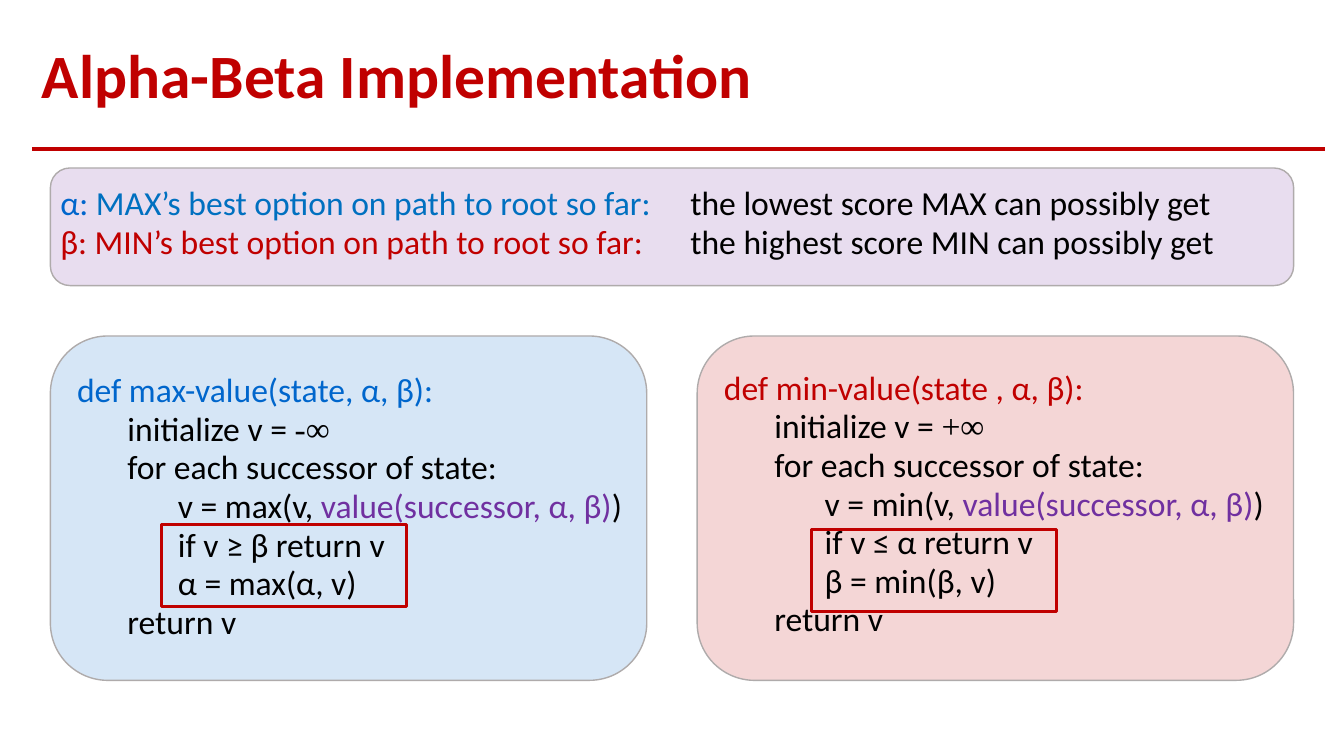
"""Build the Alpha-Beta Implementation slide on an 80 by 45 grid."""
import pptx
import pptx.util
import pptx.dml.color
import pptx.enum.shapes
import pptx.enum.text
import pptx.oxml.ns
from lxml import etree

COLORS = {"red": "C00000", "blue": "0066CC", "sky": "0070C0",
          "purple": "7030A0", "black": "000000", "gray": "AFABAB"}
SHAPE = pptx.enum.shapes.MSO_SHAPE
qn = pptx.oxml.ns.qn


class Deck:
    """Hold the style and the current slide."""

    def __init__(self):
        self.prs = pptx.Presentation()
        self.prs.slide_width = pptx.util.Inches(13.333)
        self.prs.slide_height = pptx.util.Inches(7.5)
        self.s = self.prs.slides.add_slide(self.prs.slide_layouts[5])

    def grid(self, *cells):
        """Turn grid units into lengths."""
        return [pptx.util.Emu(round(c * self.prs.slide_height / 45)) for c in cells]

    def color(self, name):
        """Look up a colour by name."""
        return pptx.dml.color.RGBColor.from_string(COLORS[name])

    def run(self, p, text, color, size=24, font="Calibri", bold=False):
        """Add one styled run."""
        r = p.add_run()
        r.text = text
        r.font.name, r.font.size, r.font.bold = font, pptx.util.Pt(size), bold
        r.font.color.rgb = self.color(color)

    def title(self, at, text):
        """Place and fill the title."""
        sp = self.s.shapes.title
        sp.left, sp.top, sp.width, sp.height = self.grid(*at)
        tf = sp.text_frame
        tf.vertical_anchor = pptx.enum.text.MSO_ANCHOR.MIDDLE
        p = tf.paragraphs[0]
        p.alignment = pptx.enum.text.PP_ALIGN.LEFT
        p.line_spacing = 0.9
        self.run(p, text, "red", 44, bold=True)

    def rule(self, x1, x2, y):
        """Draw the line under the title."""
        sp = self.s.shapes.add_connector(
            pptx.enum.shapes.MSO_CONNECTOR.STRAIGHT, *self.grid(x1, y, x2, y))
        sp.line.color.rgb = self.color("red")
        sp.line.width = pptx.util.Pt(2.5)
        etree.SubElement(sp._element.spPr, qn("a:effectLst"))

    def box(self, at, kind, line, width, fill=None):
        """Draw a box, tinted at 16% if a fill is given."""
        sp = self.s.shapes.add_shape(kind, *self.grid(*at))
        sp.shadow.inherit = False
        sp.line.color.rgb = self.color(line)
        sp.line.width = pptx.util.Pt(width)
        if fill is None:
            sp.fill.background()
            return
        sp.fill.solid()
        sp.fill.fore_color.rgb = self.color(fill)
        clr = sp._element.spPr.find(qn("a:solidFill"))[0]
        etree.SubElement(clr, qn("a:alpha"), val="16000")

    def text(self, at, lines, tab=None):
        """Write lines given as a level and its runs."""
        tf = self.s.shapes.add_textbox(*self.grid(*at)).text_frame
        tf.word_wrap = True
        for i, (level, runs) in enumerate(lines):
            p = tf.add_paragraph() if i else tf.paragraphs[0]
            p.line_spacing = 0.8
            p.space_before = pptx.util.Pt(4.5 if i else 0)
            pPr = p._p.get_or_add_pPr()
            pPr.set("marL", str(pptx.util.Inches(level / 2)))
            if tab:
                tabs = etree.SubElement(pPr, qn("a:tabLst"))
                etree.SubElement(tabs, qn("a:tab"), pos=str(self.grid(tab)[0]), algn="l")
            for run in runs:
                self.run(p, *run)


def code(name, color, args, start, compare, bound, other):
    """Return the pseudocode lines of one player."""
    return [
        (0, [(f"def {name}-value({args}):", color)]),
        (1, [("initialize v = ", "black"), (start, "black", 24, "Times New Roman")]),
        (1, [("for each successor of state:", "black")]),
        (2, [(f"v = {name}(v, ", "black"), ("value(successor, α, β)", "purple"),
             (")", "black")]),
        (2, [(f"if v {compare} {bound} return v", "black")]),
        (2, [(f"{other} = {name}({other}, v)", "black")]),
        (1, [("return v", "black")]),
    ]


def main():
    """Build and save the slide."""
    d = Deck()
    d.title((1.9, 1.7, 76.9, 6), "Alpha-Beta Implementation")
    d.rule(1.9, 78.85, 8.88)
    players = [
        (41.5, "red", (42.5, 22), (48.3, 31.5),
         code("min", "red", "state , α, β", "+∞", "≤", "α", "β")),
        (3, "blue", (4, 22.15), (9.6, 31.2),
         code("max", "blue", "state, α, β", "-∞", "≥", "β", "α")),
    ]
    for x, fill, text_at, frame_at, lines in players:
        d.box((x, 20, 35.5, 20.5), SHAPE.ROUNDED_RECTANGLE, "gray", 1, fill)
        d.text((*text_at, 35.5, 15), lines)
        d.box((*frame_at, 14.6, 4.9), SHAPE.RECTANGLE, "red", 2.25)
    d.box((3, 10, 74, 7), SHAPE.ROUNDED_RECTANGLE, "gray", 1, "purple")
    d.text((3, 11, 74, 5.5), [
        (0, [("α: ", "blue"), ("MAX’s best option on path to root so far:\t", "sky"),
             ("the lowest score MAX can possibly get", "black")]),
        (0, [("β: MIN’s best option on path to root so far:\t", "red"),
             ("the highest score MIN can possibly get", "black")]),
    ], tab=37.5)
    d.prs.save("out.pptx")


if __name__ == "__main__":
    main()
